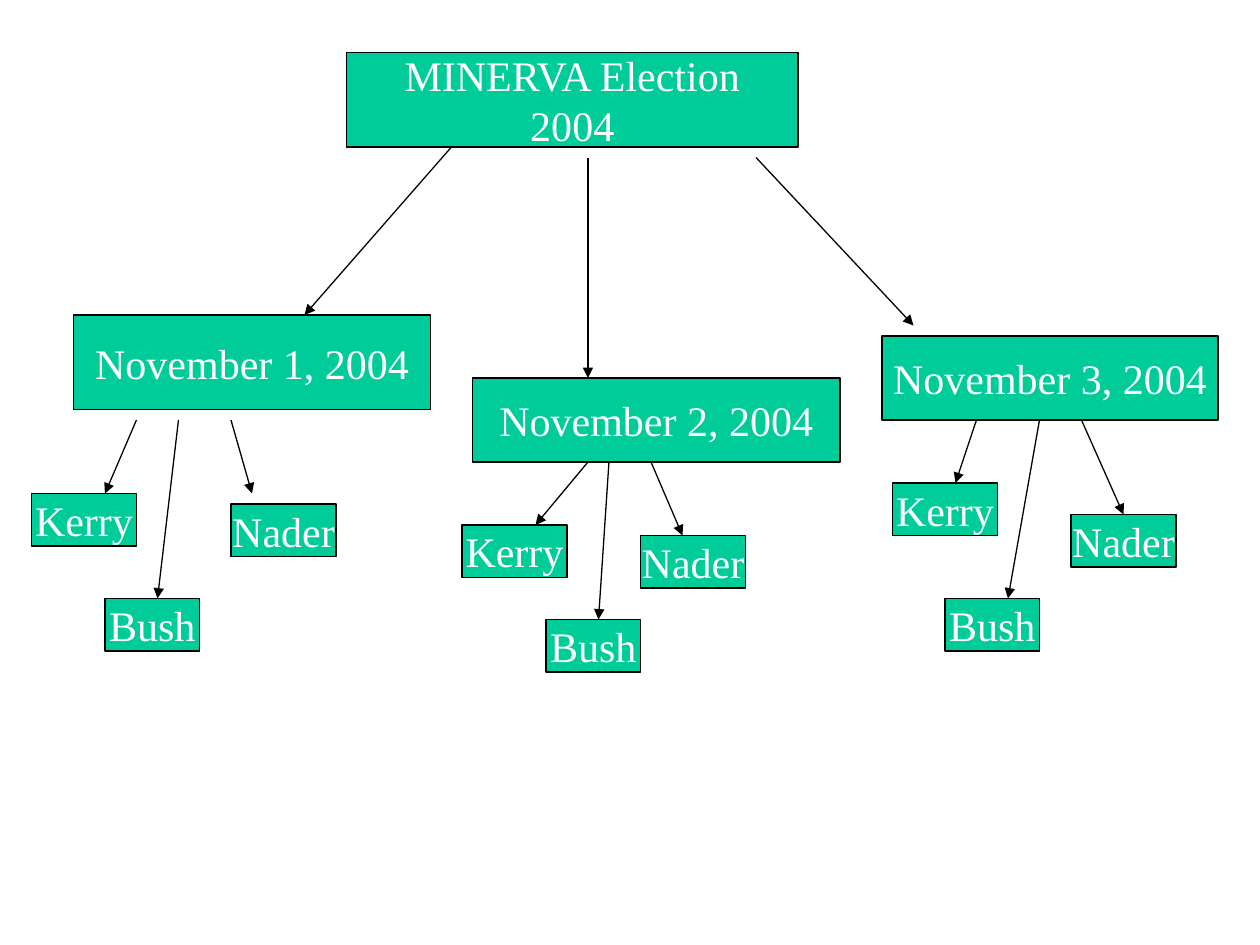
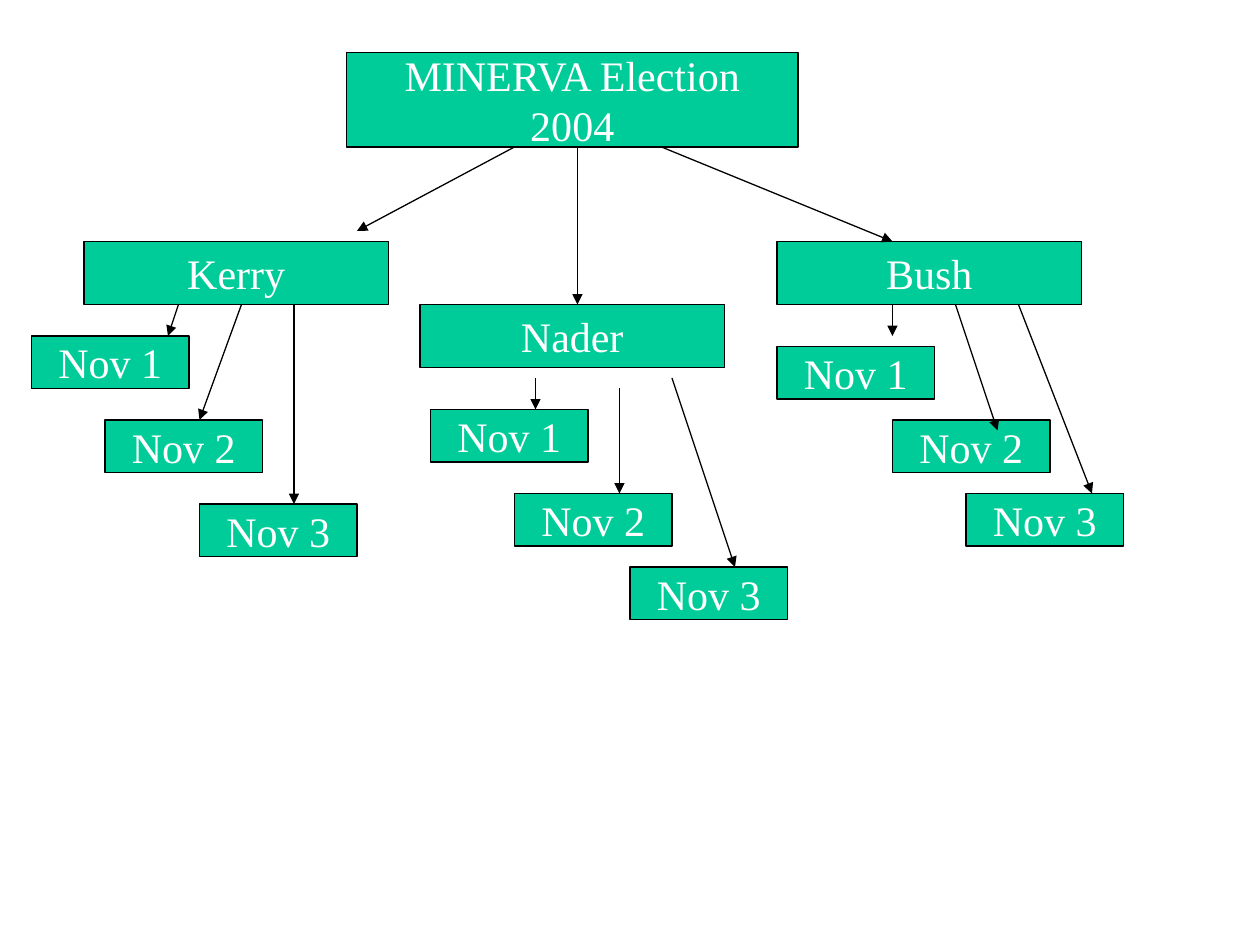
from dataclasses import dataclass

from lxml import etree
from pptx import Presentation
from pptx.dml.color import RGBColor
from pptx.enum.shapes import MSO_CONNECTOR, MSO_SHAPE
from pptx.enum.text import MSO_ANCHOR, MSO_AUTO_SIZE, PP_ALIGN
from pptx.oxml.ns import qn
from pptx.shapes.autoshape import Shape
from pptx.slide import Slide
from pptx.util import Pt

STRAIGHT = MSO_CONNECTOR.STRAIGHT
RECTANGLE = MSO_SHAPE.RECTANGLE
TITLE_ONLY_LAYOUT = 5
TOP_SIDE = 0

COLOURS = {"box": "00CC99", "outline": "000000", "label": "FFFFFF"}
OUTLINE_WIDTH = Pt(0.75)
FRAME_FORMAT = {
    "word_wrap": False,
    "auto_size": MSO_AUTO_SIZE.NONE,
    "vertical_anchor": MSO_ANCHOR.MIDDLE,
    "margin_left": Pt(7.2),
    "margin_right": Pt(7.2),
    "margin_top": Pt(3.6),
    "margin_bottom": Pt(3.6),
}
FONT_FORMAT = {"name": "Times New Roman", "size": Pt(24), "bold": False}

LEAF_HEIGHT = 30
CANDIDATE_WIDTHS = {"Kerry": 60, "Bush": 54, "Nader": 60}
DAY_WIDTH = 90


@dataclass(frozen=True)
class Box:
    label: str
    left: float
    top: float
    width: float
    height: float


@dataclass(frozen=True)
class Arrow:
    start_x: float
    start_y: float
    end_x: float
    end_y: float


@dataclass(frozen=True)
class Node:
    box: Box
    arrow: Arrow
    children: tuple["Node", ...] = ()


def candidate(name: str, left: float, top: float, arrow: Arrow) -> Node:
    return Node(Box(name, left, top, CANDIDATE_WIDTHS[name], LEAF_HEIGHT), arrow)


def day(number: int, left: float, top: float, arrow: Arrow) -> Node:
    return Node(Box(f"Nov {number}", left, top, DAY_WIDTH, LEAF_HEIGHT), arrow)


ELECTION = Box("MINERVA Election 2004", 198, 30, 258, 54)

BY_DATE = (
    Node(Box("November 1, 2004", 42, 180, 204, 54), Arrow(258, 84, 174, 180), (
        candidate("Kerry", 18, 282, Arrow(78, 240, 60, 282)),
        candidate("Bush", 60, 342, Arrow(102, 240, 90, 342)),
        candidate("Nader", 132, 288, Arrow(132, 240, 144, 282)),
    )),
    Node(Box("November 2, 2004", 270, 216, 210, 48), Arrow(336, 90, 336, 216), (
        candidate("Kerry", 264, 300, Arrow(336, 264, 306, 300)),
        candidate("Bush", 312, 354, Arrow(348, 264, 342, 354)),
        candidate("Nader", 366, 306, Arrow(372, 264, 390, 306)),
    )),
    Node(Box("November 3, 2004", 504, 192, 192, 48), Arrow(432, 90, 522, 186), (
        candidate("Kerry", 510, 276, Arrow(558, 240, 546, 276)),
        candidate("Bush", 540, 342, Arrow(594, 240, 576, 342)),
        candidate("Nader", 612, 294, Arrow(618, 240, 642, 294)),
    )),
)

BY_CANDIDATE = (
    Node(Box("Kerry", 48, 138, 174, 36), Arrow(294, 84, 204, 132), (
        day(1, 18, 192, Arrow(102, 174, 96, 192)),
        day(2, 60, 240, Arrow(138, 174, 114, 240)),
        day(3, 114, 288, Arrow(168, 174, 168, 288)),
    )),
    Node(Box("Nader", 240, 174, 174, 36), Arrow(330, 84, 330, 174), (
        day(1, 246, 234, Arrow(306, 216, 306, 234)),
        day(2, 294, 282, Arrow(354, 222, 354, 282)),
        day(3, 360, 324, Arrow(384, 216, 420, 324)),
    )),
    Node(Box("Bush", 444, 138, 174, 36), Arrow(378, 84, 510, 138), (
        day(1, 444, 198, Arrow(510, 174, 510, 192)),
        day(2, 510, 240, Arrow(546, 174, 570, 246)),
        day(3, 552, 282, Arrow(582, 174, 624, 282)),
    )),
)


def colour(role: str) -> RGBColor:
    return RGBColor.from_string(COLOURS[role])


def apply_format(target: object, values: dict[str, object]) -> None:
    for attribute, value in values.items():
        setattr(target, attribute, value)


def format_box(shape: Shape, box: Box) -> None:
    apply_format(shape, {
        side: Pt(getattr(box, side)) for side in ("left", "top", "width", "height")
    })
    shape.shadow.inherit = False
    shape.fill.solid()
    shape.fill.fore_color.rgb = colour("box")
    shape.line.color.rgb = colour("outline")
    shape.line.width = OUTLINE_WIDTH
    apply_format(shape.text_frame, FRAME_FORMAT)
    paragraph = shape.text_frame.paragraphs[0]
    paragraph.alignment = PP_ALIGN.CENTER
    label = paragraph.add_run()
    label.text = box.label
    apply_format(label.font, FONT_FORMAT)
    label.font.color.rgb = colour("label")


def draw_arrow(slide: Slide, node: Node, target: Shape) -> None:
    arrow, box = node.arrow, node.box
    link = slide.shapes.add_connector(
        STRAIGHT, Pt(arrow.start_x), Pt(arrow.start_y), Pt(arrow.end_x), Pt(arrow.end_y)
    )
    if (arrow.end_x, arrow.end_y) == (box.left + box.width / 2, box.top):
        link.end_connect(target, TOP_SIDE)
    link.line.color.rgb = colour("outline")
    link.line.width = OUTLINE_WIDTH
    properties = link.element.spPr
    etree.SubElement(properties.find(qn("a:ln")), qn("a:tailEnd"), type="triangle")
    etree.SubElement(properties, qn("a:effectLst"))


def draw_node(slide: Slide, node: Node) -> None:
    box = node.box
    shape = slide.shapes.add_shape(
        RECTANGLE, Pt(box.left), Pt(box.top), Pt(box.width), Pt(box.height)
    )
    format_box(shape, box)
    draw_arrow(slide, node, shape)
    for child in node.children:
        draw_node(slide, child)


def main() -> None:
    presentation = Presentation()
    presentation.slide_width = Pt(720)
    presentation.slide_height = Pt(540)
    layout = presentation.slide_layouts[TITLE_ONLY_LAYOUT]
    for branches in (BY_DATE, BY_CANDIDATE):
        slide = presentation.slides.add_slide(layout)
        format_box(slide.shapes.title, ELECTION)
        for branch in branches:
            draw_node(slide, branch)
    presentation.save("out.pptx")


if __name__ == "__main__":
    main()
